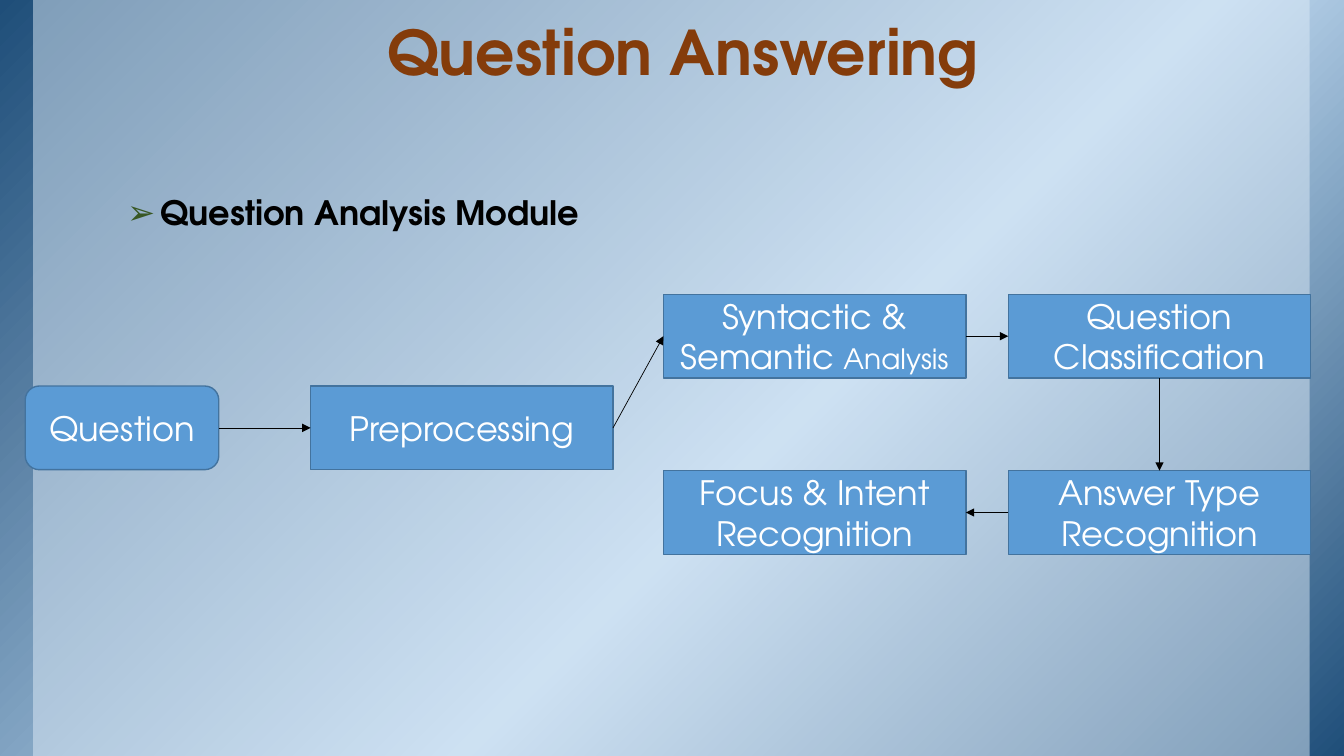
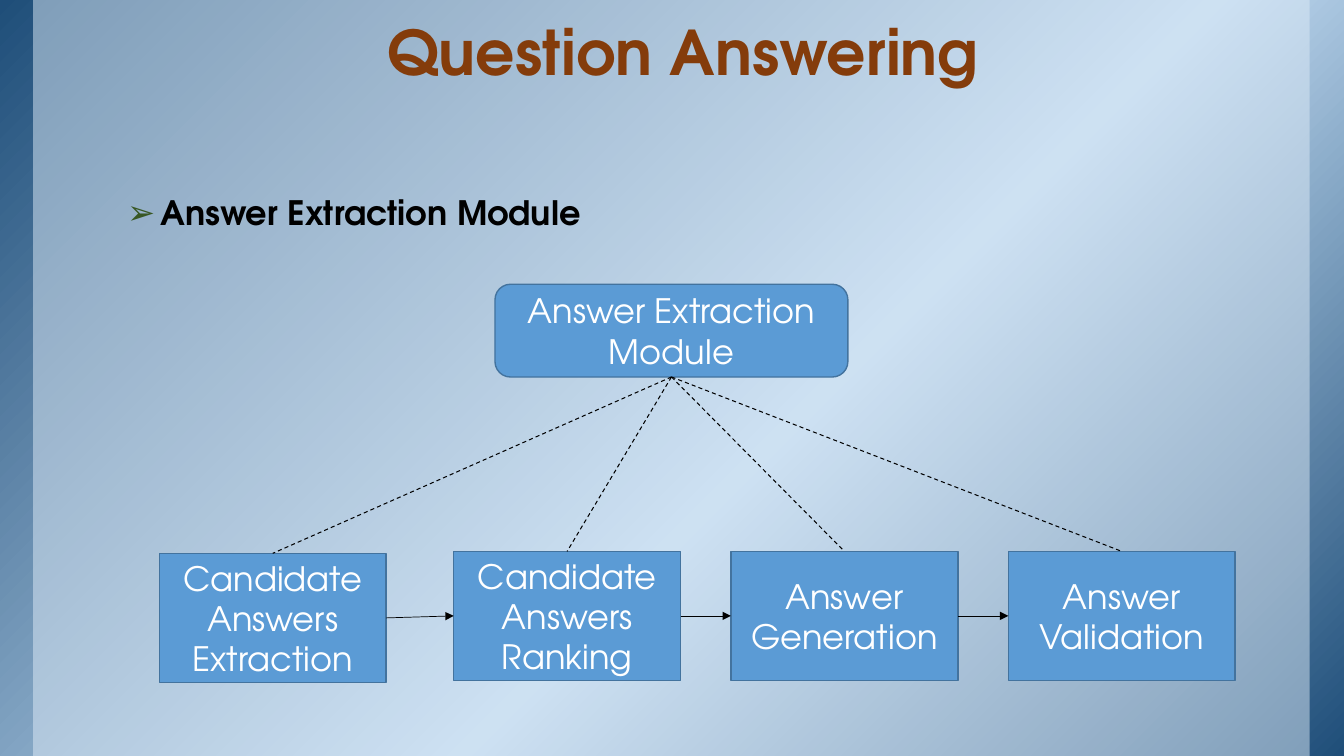
import pptx
import pptx.util
import pptx.dml.color
import pptx.enum.dml
import pptx.enum.shapes
import pptx.enum.text
import pptx.oxml
import pptx.oxml.ns

Inches, Pt = pptx.util.Inches, pptx.util.Pt
Kind = pptx.enum.shapes.MSO_SHAPE
Align = pptx.enum.text.PP_ALIGN
Anchor = pptx.enum.text.MSO_ANCHOR

# Shared look
FONT = "TeX Gyre Adventor"
BLACK, WHITE = "000000", "FFFFFF"
BLUE, EDGE = "5B9BD5", "43739E"
NAVY, SKY, PALE = "1F4E79", "BDD7EE", "DEEBF7"
BROWN, GREEN = "843C0B", "385723"
TOP, LEFT, BOTTOM, RIGHT = range(4)


def rgb(code):
    return pptx.dml.color.RGBColor.from_string(code)


def node(xml):
    """Make an XML element in the drawing namespace."""
    space = pptx.oxml.ns.nsdecls("a")
    return pptx.oxml.parse_xml(xml.replace(">", f" {space}>", 1)
                               if "/>" not in xml.split(">")[0] + ">"
                               else xml.replace("/>", f" {space}/>", 1))


def write(para, text, size=24, color=WHITE, bold=False, align=None, lead=None):
    """Add a formatted run to a paragraph."""
    run = para.add_run()
    run.text = text
    font = run.font
    font.name, font.size, font.bold = FONT, Pt(size), bold
    font.color.rgb = rgb(color)
    if align is not None:
        para.alignment = align
    if lead is not None:
        para.line_spacing = lead


def panel(slide, kind, left, top, width, height):
    shape = slide.shapes.add_shape(kind, Inches(left), Inches(top),
                                   Inches(width), Inches(height))
    shape.shadow.inherit = False
    return shape


def box(slide, text, left, top, width, height, kind=Kind.RECTANGLE, small=""):
    """Add a labelled box; small is a closing part in a lesser size."""
    shape = panel(slide, kind, left, top, width, height)
    shape.fill.solid()
    shape.fill.fore_color.rgb = rgb(BLUE)
    shape.line.color.rgb = rgb(EDGE)
    shape.line.width = Pt(1)
    frame = shape.text_frame
    frame.word_wrap = True
    frame.vertical_anchor = Anchor.MIDDLE
    para = frame.paragraphs[0]
    write(para, text, align=Align.CENTER)
    if small:
        write(para, small, size=20)
    return shape


def join(slide, start, out, end, into, dash=False):
    """Link two boxes by an arrow or by a dashed line."""
    link = slide.shapes.add_connector(
        pptx.enum.shapes.MSO_CONNECTOR.STRAIGHT, 0, 0, 0, 0)
    link.begin_connect(start, out)
    link.end_connect(end, into)
    link.line.color.rgb = rgb(BLACK)
    link.line.width = Pt(0.75 if dash else 0.5)
    if dash:
        link.line.dash_style = pptx.enum.dml.MSO_LINE.DASH
    else:
        link.line._get_or_add_ln().append(node('<a:tailEnd type="triangle"/>'))
    link._element.spPr.append(node("<a:effectLst/>"))


def backdrop(layout, slide):
    """Put the gradient and the pale band into the layout."""
    base = panel(slide, Kind.RECTANGLE, 0, 0, 13.33, 7.5)
    stops = "".join(f'<a:gs pos="{pos}000"><a:srgbClr val="{code}"/></a:gs>'
                    for pos, code in ((0, NAVY), (58, SKY), (100, NAVY)))
    base._element.spPr.find(pptx.oxml.ns.qn("a:prstGeom")).addnext(node(
        f'<a:gradFill rotWithShape="1"><a:gsLst>{stops}</a:gsLst>'
        '<a:lin ang="2700000" scaled="0"/></a:gradFill>'))
    band = panel(slide, Kind.RECTANGLE, 0.33, 0, 12.66, 7.5)
    band.fill.solid()
    band.fill.fore_color.rgb = rgb(PALE)
    tint = band._element.spPr.find(".//" + pptx.oxml.ns.qn("a:srgbClr"))
    tint.append(node('<a:alpha val="50000"/>'))
    for num, shape in enumerate((base, band)):
        shape.line.fill.background()
        shape.element.xpath("./p:nvSpPr/p:cNvPr")[0].set("id", str(100 + num))
        layout.shapes.element.insert(2 + num, shape.element)


def place(holder, left, top, width, height, anchor):
    """Move a placeholder and return its first paragraph."""
    holder.left, holder.top = Inches(left), Inches(top)
    holder.width, holder.height = Inches(width), Inches(height)
    frame = holder.text_frame
    frame.margin_left = frame.margin_right = Inches(0.13)
    frame.margin_top = frame.margin_bottom = Inches(0.07)
    frame.vertical_anchor = anchor
    frame.auto_size = pptx.enum.text.MSO_AUTO_SIZE.NONE
    frame.word_wrap = True
    return frame.paragraphs[0]


def start(deck, topic):
    """Add a slide with the shared title and one bulleted topic."""
    slide = deck.slides.add_slide(deck.slide_layouts[1])
    title, body = slide.placeholders
    para = place(title, 1.22, 0.08, 11.11, 0.86, Anchor.BOTTOM)
    write(para, "Question Answering", size=44, color=BROWN, bold=True,
          align=Align.CENTER, lead=0.85)
    para = place(body, 0.66, 1.86, 12.08, 5.56, Anchor.TOP)
    para.level = 1
    props = para._p.get_or_add_pPr()
    props.set("marL", str(Inches(0.8)))
    props.set("indent", str(Inches(-0.33)))
    for xml in (f'<a:buClr><a:srgbClr val="{GREEN}"/></a:buClr>',
                '<a:buFont typeface="Arial"/>', '<a:buChar char="➢"/>'):
        props.append(node(xml))
    para.space_before = Pt(0)
    write(para, topic, color=BLACK, bold=True, align=Align.LEFT, lead=0.95)
    return slide


def analysis(deck):
    slide = start(deck, "Question Analysis Module")
    backdrop(slide.slide_layout, slide)
    # Boxes
    size = 3, 0.83
    upper, mid, lower = 2.92, 3.83, 4.67
    query = box(slide, "Question", 0.25, mid, 1.92, 0.83,
                Kind.ROUNDED_RECTANGLE)
    prep = box(slide, "Preprocessing", 3.08, mid, *size)
    syntax = box(slide, "Syntactic & Semantic ", 6.58, upper, *size,
                 small="Analysis")
    sort = box(slide, "Question Classification", 10, upper, *size)
    answer = box(slide, "Answer Type Recognition", 10, lower, *size)
    focus = box(slide, "Focus & Intent Recognition", 6.58, lower, *size)
    # Flow
    for first, out, last, into in ((query, RIGHT, prep, LEFT),
                                   (prep, RIGHT, syntax, LEFT),
                                   (syntax, RIGHT, sort, LEFT),
                                   (sort, BOTTOM, answer, TOP),
                                   (answer, LEFT, focus, RIGHT)):
        join(slide, first, out, last, into)


def extract(deck):
    slide = start(deck, "Answer Extraction Module")
    # Root and its steps
    root = box(slide, "Answer Extraction Module", 4.91, 2.82, 3.5, 0.92,
               Kind.ROUNDED_RECTANGLE)
    steps = [box(slide, text, left, top, 2.25, 1.28) for text, left, top in (
        ("Candidate Answers Extraction", 1.58, 5.49),
        ("Candidate Answers Ranking", 4.5, 5.47),
        ("Answer Generation", 7.25, 5.47),
        ("Answer Validation", 10, 5.47))]
    # Links
    for step in steps:
        join(slide, root, BOTTOM, step, TOP, dash=True)
    for first, last in zip(steps, steps[1:]):
        join(slide, first, RIGHT, last, LEFT)


def main():
    deck = pptx.Presentation()
    deck.slide_width, deck.slide_height = Inches(13.33), Inches(7.5)
    analysis(deck)
    extract(deck)
    deck.save("out.pptx")


if __name__ == "__main__":
    main()
